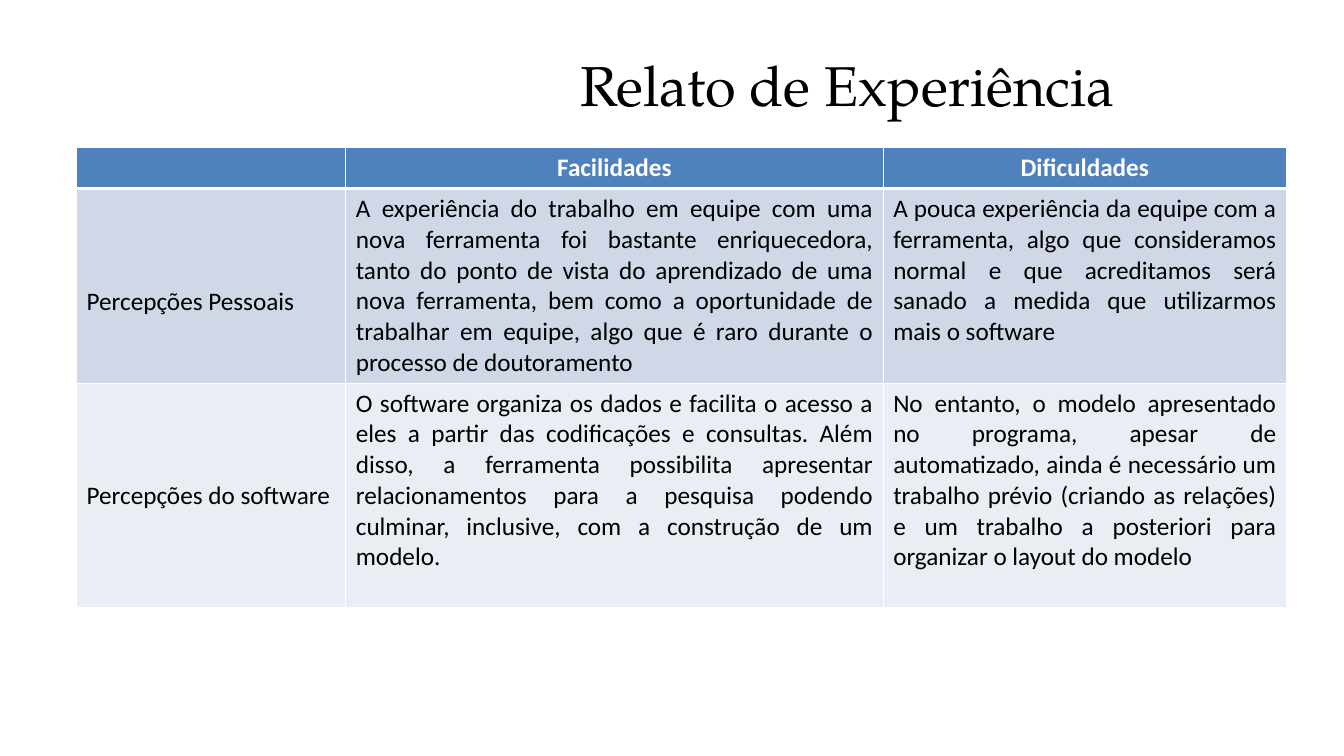
from dataclasses import dataclass

from lxml import etree
from pptx import Presentation
from pptx.dml.color import RGBColor
from pptx.enum.text import MSO_ANCHOR, PP_ALIGN
from pptx.oxml.ns import qn
from pptx.util import Inches, Pt

CENTER, LEFT, JUSTIFY = PP_ALIGN.CENTER, PP_ALIGN.LEFT, PP_ALIGN.JUSTIFY
TOP, MIDDLE = MSO_ANCHOR.TOP, MSO_ANCHOR.MIDDLE
TITLE_ONLY = 5


@dataclass(frozen=True)
class Theme:
    title_font: str = "TeX Gyre Pagella"
    body_font: str = "Calibri"
    title_size: int = 40
    body_size: int = 18
    ink: str = "000000"
    white: str = "FFFFFF"
    header: str = "4F81BD"
    bands: tuple = ("D0D8E8", "E9EDF4")
    rule: int = 1
    header_rule: int = 3


def write_text(tf, text, *, font, size, color, bold=False, align=LEFT):
    p = tf.paragraphs[0]
    p.alignment = align
    r = p.add_run()
    r.text = text
    r.font.name = font
    r.font.size = Pt(size)
    r.font.bold = bold
    r.font.color.rgb = RGBColor.from_string(color)


def set_borders(cell, color, **widths):
    tc_pr = cell._tc.get_or_add_tcPr()
    for side in "LRTB":
        ln = etree.SubElement(tc_pr, qn(f"a:ln{side}"), w=str(Pt(widths[side])))
        fill = etree.SubElement(ln, qn("a:solidFill"))
        etree.SubElement(fill, qn("a:srgbClr"), val=color)


class SlideBuilder:
    def __init__(self, prs, theme):
        self.theme = theme
        self.s = prs.slides.add_slide(prs.slide_layouts[TITLE_ONLY])

    def title(self, text, left, top, width, height):
        sp = self.s.shapes.title
        sp.left, sp.top = Inches(left), Inches(top)
        sp.width, sp.height = Inches(width), Inches(height)
        sp.text_frame.vertical_anchor = MIDDLE
        write_text(sp.text_frame, text, font=self.theme.title_font,
                   size=self.theme.title_size, color=self.theme.ink, align=CENTER)

    def table(self, rows, left, top, col_widths, row_heights, label_margin):
        frame = self.s.shapes.add_table(
            len(rows), len(col_widths), Inches(left), Inches(top),
            Inches(sum(col_widths)), Inches(sum(row_heights)))
        table = frame.table
        for column, width in zip(table.columns, col_widths):
            column.width = Inches(width)
        for row, height in zip(table.rows, row_heights):
            row.height = Inches(height)
        for i, texts in enumerate(rows):
            for j, text in enumerate(texts):
                self.cell(table.cell(i, j), text, i, j, label_margin)

    def cell(self, cell, text, i, j, label_margin):
        t = self.theme
        is_header = i == 0
        set_borders(cell, t.white, L=t.rule, R=t.rule,
                    T=t.header_rule if i == 1 else t.rule,
                    B=t.header_rule if is_header else t.rule)
        cell.fill.solid()
        fill = t.header if is_header else t.bands[(i - 1) % 2]
        cell.fill.fore_color.rgb = RGBColor.from_string(fill)
        cell.vertical_anchor = TOP
        if j == 0 and not is_header:
            cell.margin_top = Inches(label_margin)
        if text:
            align = CENTER if is_header else JUSTIFY if j else LEFT
            write_text(cell.text_frame, text, font=t.body_font, size=t.body_size,
                       color=t.white if is_header else t.ink,
                       bold=is_header, align=align)


ROWS = [
    ("", "Facilidades", "Dificuldades"),
    ("Percepções Pessoais",
     "A experiência do trabalho em equipe com uma nova ferramenta foi bastante "
     "enriquecedora, tanto do ponto de vista do aprendizado de uma nova ferramenta, "
     "bem como a oportunidade de trabalhar em equipe, algo que é raro durante o "
     "processo de doutoramento",
     "A pouca experiência da equipe com a ferramenta, algo que consideramos normal "
     "e que acreditamos será sanado a medida que utilizarmos mais o software"),
    ("Percepções do software",
     "O software organiza os dados e facilita o acesso a eles a partir das "
     "codificações e consultas. Além disso, a ferramenta possibilita apresentar "
     "relacionamentos para a pesquisa podendo culminar, inclusive, com a construção "
     "de um modelo.",
     "No entanto, o modelo apresentado no programa, apesar de automatizado, ainda é "
     "necessário um trabalho prévio (criando as relações) e um trabalho a posteriori "
     "para organizar o layout do modelo"),
]


def main():
    prs = Presentation()
    prs.slide_width, prs.slide_height = Inches(13.33), Inches(7.5)
    slide = SlideBuilder(prs, Theme())
    slide.title("Relato de Experiência", 3.83, 0.21, 9.15, 1.25)
    slide.table(ROWS, 0.76, 1.46, col_widths=(2.67, 5.33, 4),
                row_heights=(0.41, 1.92, 2.23), label_margin=0.97)
    prs.save("out.pptx")


if __name__ == "__main__":
    main()
